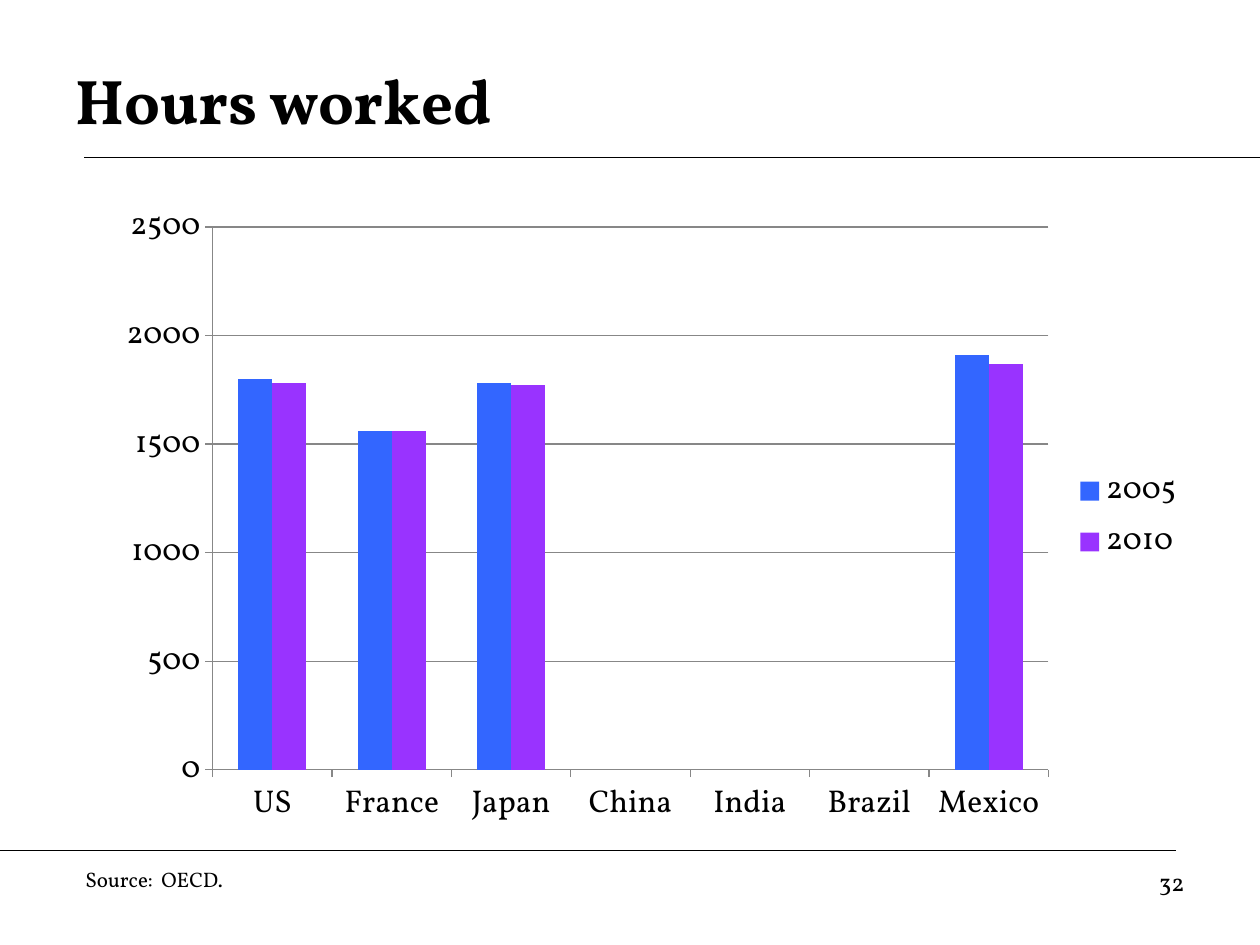
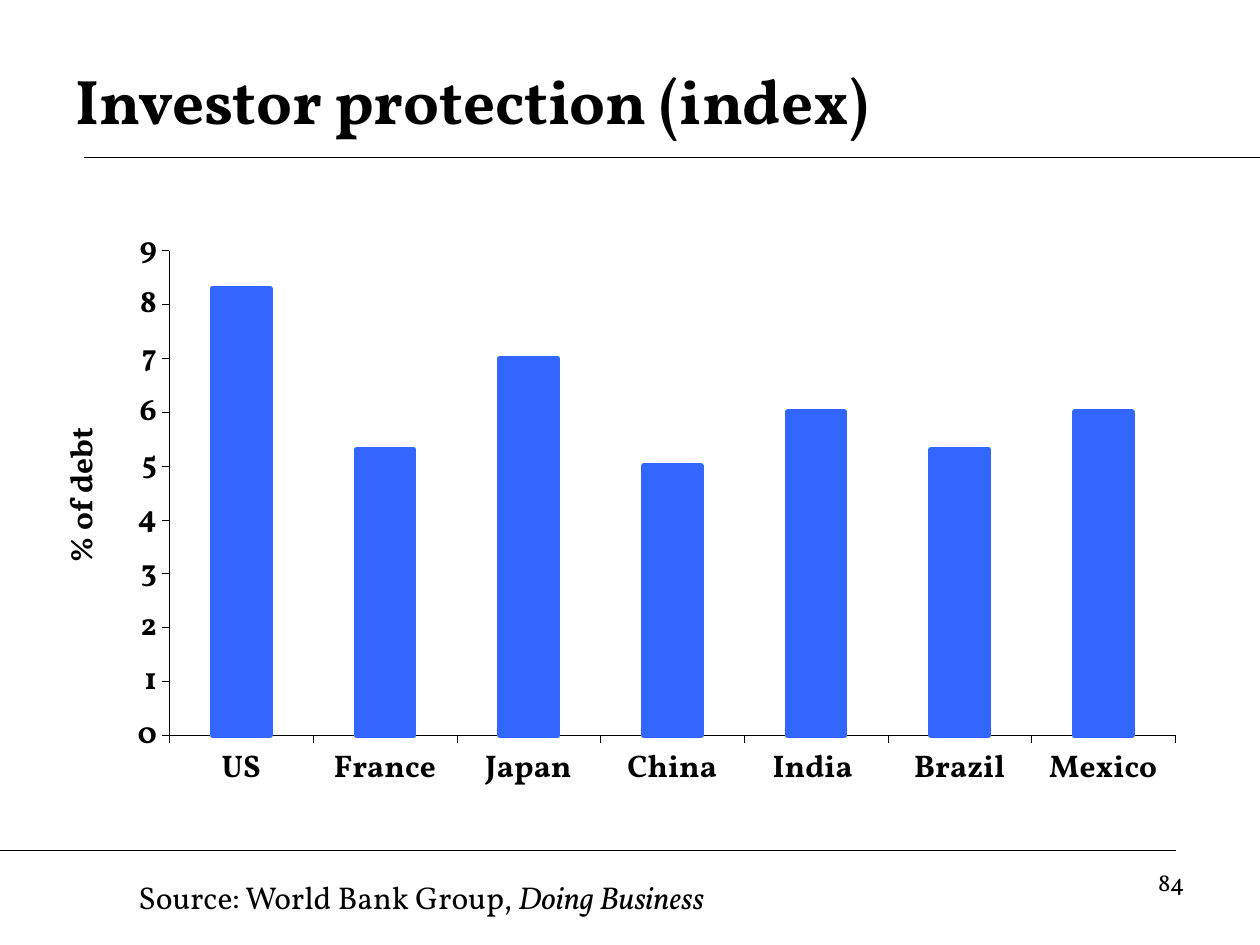
import pptx
import pptx.chart.data
import pptx.dml.color
import pptx.enum.chart
import pptx.enum.shapes
import pptx.enum.text
import pptx.oxml
import pptx.oxml.ns
import pptx.util

Inches, Pt = pptx.util.Inches, pptx.util.Pt
FONT = "Vollkorn"
BLACK, GREY, BLUE, PURPLE = "000000", "878787", "3366FF", "9933FF"
RULES = [(0.67, 1.25, 10, 1.25), (0, 6.75, 9.33, 6.75)]
TITLE_BOX = (0.5, 0.33, 9, 0.92)
NUMBER_BOX = (7.17, 6.83, 2.33, 0.52)

SLIDES = [
    {
        "title": "Hours worked",
        "number": "32",
        "source": [("Source:  OECD.", False)],
        "source_box": (0.58, 6.83, 4.83, 0.3),
        "source_size": 12,
        "chart_box": (0.83, 1.53, 8.67, 5.14),
        "plot": (0.099, 0.053, 0.765, 0.838),
        "categories": ["US", "France", "Japan", "China", "India", "Brazil", "Mexico"],
        "series": [
            ("2005", BLUE, [1800, 1560, 1780, None, None, None, 1910]),
            ("2010", PURPLE, [1780, 1560, 1770, None, None, None, 1870]),
        ],
        "scale": (2500, 500),
        "size": 18,
        "bold": False,
        "axis_line": (GREY, 0.75),
        "bar_line": None,
        "gridlines": True,
        "legend": True,
        "axis_title": None,
    },
    {
        "title": "Investor protection (index)",
        "number": "84",
        "source": [("Source: World Bank Group, ", False), ("Doing Business", True)],
        "source_box": (1, 6.92, 6.42, 0.4),
        "source_size": 18,
        "chart_box": (0.17, 1.6, 9.25, 5.05),
        "plot": (0.127, 0.077, 0.863, 0.762),
        "categories": ["US", "France", "Japan", "China", "India ", "Brazil", "Mexico"],
        "series": [("Series 1", BLUE, [8.3, 5.3, 7, 5, 6, 5.3, 6])],
        "scale": (9, 1),
        "size": 17.9,
        "bold": True,
        "axis_line": (BLACK, 0.25),
        "bar_line": 3,
        "gridlines": False,
        "legend": False,
        "axis_title": ("% of debt", (0.027, 0.346)),
    },
]


def rgb(color):
    return pptx.dml.color.RGBColor.from_string(color)


def set_font(font, size, bold=False):
    font.name = FONT
    font.size = Pt(size)
    font.bold = bold
    font.color.rgb = rgb(BLACK)


def set_line(line, color, width):
    line.color.rgb = rgb(color)
    line.width = Pt(width)


def add_text(slide, box, runs, size, bold=False, align="LEFT", anchor="TOP"):
    tf = slide.shapes.add_textbox(*map(Inches, box)).text_frame
    tf.word_wrap = True
    tf.vertical_anchor = getattr(pptx.enum.text.MSO_ANCHOR, anchor)
    p = tf.paragraphs[0]
    p.alignment = getattr(pptx.enum.text.PP_ALIGN, align)
    set_font(p.font, size, bold)
    for text, italic in runs:
        r = p.add_run()
        r.text = text
        if italic:
            r.font.italic = True


def add_rule(slide, ends):
    kind = pptx.enum.shapes.MSO_CONNECTOR.STRAIGHT
    line = slide.shapes.add_connector(kind, *map(Inches, ends))
    set_line(line.line, BLACK, 0.75)
    effects = pptx.oxml.parse_xml(f"<a:effectLst {pptx.oxml.ns.nsdecls('a')}/>")
    line._element.spPr.append(effects)


def layout_xml(values, inner=False):
    parts = '<c:layoutTarget val="inner"/>' if inner else ""
    names = ("x", "y", "w", "h")[: len(values)]
    parts += "".join(f'<c:{n}Mode val="edge"/>' for n in names[:2])
    parts += "".join(f'<c:{n} val="{v}"/>' for n, v in zip(names, values))
    return pptx.oxml.parse_xml(
        f"<c:layout {pptx.oxml.ns.nsdecls('c')}>"
        f"<c:manualLayout>{parts}</c:manualLayout></c:layout>"
    )


def place(element, layout, index):
    for old in element.findall(pptx.oxml.ns.qn("c:layout")):
        element.remove(old)
    element.insert(index, layout)


def add_chart(slide, spec_):
    data = pptx.chart.data.CategoryChartData()
    data.categories = spec_["categories"]
    for name, _, values in spec_["series"]:
        data.add_series(name, values)
    kind = pptx.enum.chart.XL_CHART_TYPE.COLUMN_CLUSTERED
    chart = slide.shapes.add_chart(kind, *map(Inches, spec_["chart_box"]), data).chart
    chart.has_title = False
    set_font(chart.font, spec_["size"], spec_["bold"])

    plot = chart.plots[0]
    plot.vary_by_categories = False
    plot.gap_width = 150
    plot.overlap = 0
    for series, (_, color, _) in zip(plot.series, spec_["series"]):
        series.invert_if_negative = False
        series.format.fill.solid()
        series.format.fill.fore_color.rgb = rgb(color)
        if spec_["bar_line"]:
            set_line(series.format.line, color, spec_["bar_line"])

    value_axis = chart.value_axis
    for axis in (chart.category_axis, value_axis):
        axis.major_tick_mark = pptx.enum.chart.XL_TICK_MARK.OUTSIDE
        axis.minor_tick_mark = pptx.enum.chart.XL_TICK_MARK.NONE
        set_font(axis.tick_labels.font, spec_["size"], spec_["bold"])
        set_line(axis.format.line, *spec_["axis_line"])
    value_axis.minimum_scale = 0
    value_axis.maximum_scale, value_axis.major_unit = spec_["scale"]
    value_axis.has_major_gridlines = spec_["gridlines"]
    if spec_["gridlines"]:
        set_line(value_axis.major_gridlines.format.line, *spec_["axis_line"])

    if spec_["axis_title"]:
        text, position = spec_["axis_title"]
        tf = value_axis.axis_title.text_frame
        tf.text = text
        set_font(tf.paragraphs[0].font, spec_["size"], spec_["bold"])
        body = tf._txBody.bodyPr
        body.set("rot", "-5400000")
        body.set("vert", "horz")
        place(value_axis.axis_title._element, layout_xml(position), 1)

    chart.has_legend = spec_["legend"]
    if spec_["legend"]:
        chart.legend.position = pptx.enum.chart.XL_LEGEND_POSITION.RIGHT
        chart.legend.include_in_layout = False
        set_font(chart.legend.font, spec_["size"])
    place(chart._chartSpace.chart.plotArea, layout_xml(spec_["plot"], True), 0)


def main():
    prs = pptx.Presentation()
    prs.slide_width, prs.slide_height = Inches(10), Inches(7.5)
    for content in SLIDES:
        slide = prs.slides.add_slide(prs.slide_layouts[6])
        for ends in RULES:
            add_rule(slide, ends)
        add_text(slide, TITLE_BOX, [(content["title"], False)], 36, True, anchor="MIDDLE")
        add_chart(slide, content)
        add_text(slide, content["source_box"], content["source"], content["source_size"])
        add_text(slide, NUMBER_BOX, [(content["number"], False)], 14, align="RIGHT")
    prs.save("out.pptx")


if __name__ == "__main__":
    main()
